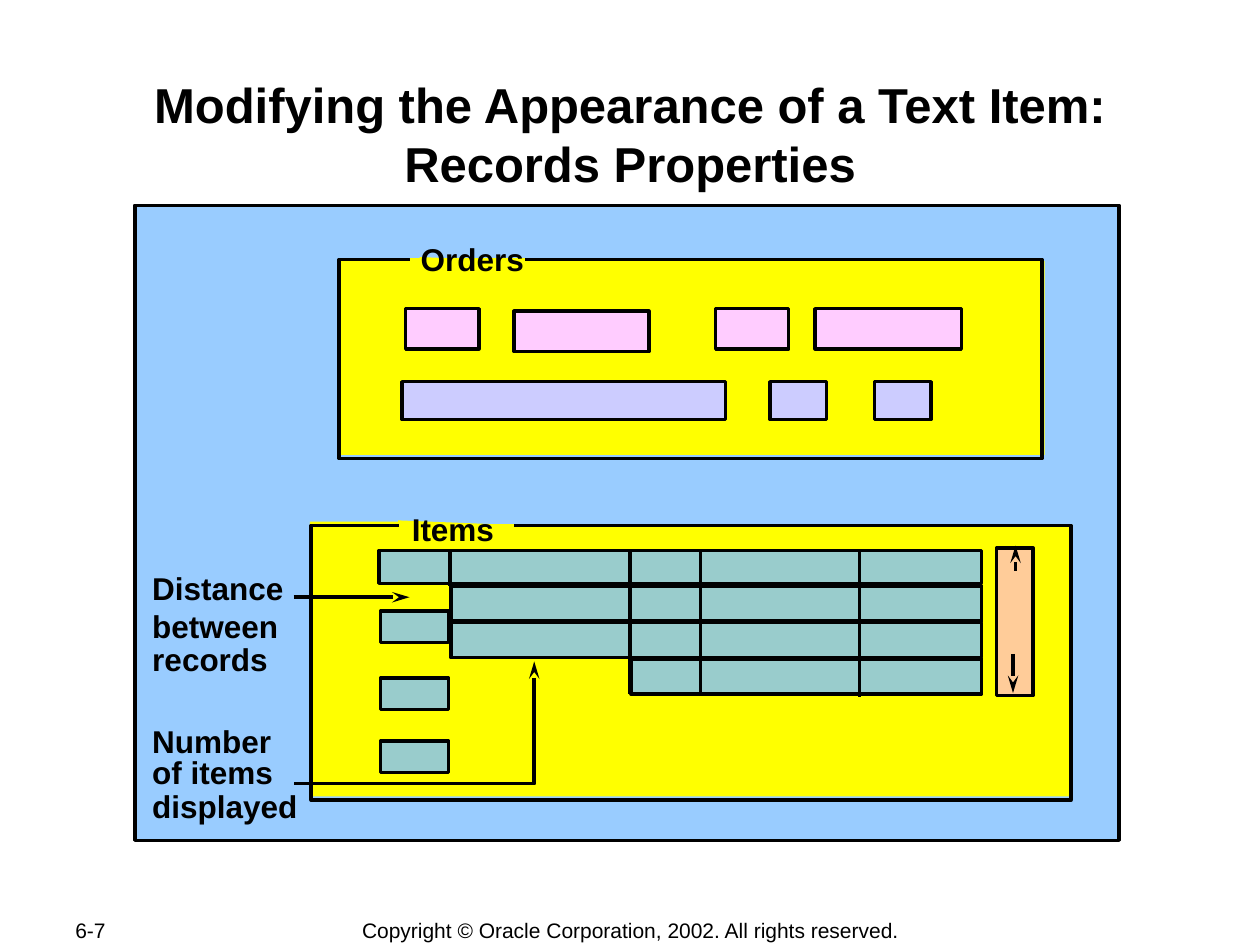
from dataclasses import dataclass

from lxml.etree import SubElement
from pptx import Presentation
from pptx.dml.color import RGBColor
from pptx.enum.shapes import MSO_CONNECTOR, MSO_SHAPE
from pptx.enum.text import MSO_ANCHOR, MSO_AUTO_SIZE, PP_ALIGN
from pptx.oxml.ns import qn
from pptx.util import Inches, Pt


@dataclass(frozen=True)
class Theme:
    font: str = "Arial"
    black: str = "000000"
    canvas: str = "99CCFF"
    frame: str = "FFFF00"
    pink: str = "FFCCFF"
    lavender: str = "CCCCFF"
    teal: str = "99CCCC"
    scrollbar: str = "FFCC99"
    title: int = 28
    label: int = 18
    footer: int = 12
    line: int = 2


THEME = Theme()


def rgb(value):
    return RGBColor.from_string(value)


def set_line(s, color=THEME.black):
    s.line.color.rgb = rgb(color)
    s.line.width = Pt(THEME.line)


def style_font(p, size, bold):
    p.font.name = THEME.font
    p.font.size = Pt(size)
    p.font.bold = bold
    p.font.color.rgb = rgb(THEME.black)


def add_arrowhead(s, end):
    ln = s._element.spPr.find(qn("a:ln"))
    SubElement(ln, qn(f"a:{end}End"), type="stealth", w="med", len="lg")


def add_box(slide, x, y, w, h, fill=None):
    s = slide.shapes.add_shape(MSO_SHAPE.RECTANGLE, Inches(x), Inches(y), Inches(w), Inches(h))
    s.shadow.inherit = False
    if fill:
        s.fill.solid()
        s.fill.fore_color.rgb = rgb(fill)
    else:
        s.fill.background()
    set_line(s)


def add_line(slide, x1, y1, x2, y2, color=THEME.black, arrow=None):
    s = slide.shapes.add_connector(
        MSO_CONNECTOR.STRAIGHT, Inches(x1), Inches(y1), Inches(x2), Inches(y2))
    set_line(s, color)
    if arrow:
        add_arrowhead(s, arrow)
    SubElement(s._element.spPr, qn("a:effectLst"))


def add_outline(slide, points, close):
    start, *rest = [(Inches(x), Inches(y)) for x, y in points]
    builder = slide.shapes.build_freeform(*start)
    builder.add_line_segments(rest, close=close)
    s = builder.convert_to_shape()
    s.shadow.inherit = False
    return s


def add_backdrop(slide, points):
    s = add_outline(slide, points, close=True)
    s.fill.solid()
    s.fill.fore_color.rgb = rgb(THEME.frame)
    s.line.fill.background()


def add_elbow_arrow(slide, points):
    s = add_outline(slide, points, close=False)
    s.fill.background()
    set_line(s)
    add_arrowhead(s, "head")


def add_text(slide, text, x, y, w, h=0.4, size=THEME.label, bold=True,
             align=PP_ALIGN.LEFT, anchor=MSO_ANCHOR.TOP):
    tf = slide.shapes.add_textbox(Inches(x), Inches(y), Inches(w), Inches(h)).text_frame
    tf.word_wrap = False
    tf.auto_size = MSO_AUTO_SIZE.NONE
    tf.vertical_anchor = anchor
    p = tf.paragraphs[0]
    p.text = text
    p.alignment = align
    style_font(p, size, bold)


def add_title(slide, text):
    s = slide.shapes.title
    s.left, s.top, s.width, s.height = Inches(1), Inches(0.58), Inches(8), Inches(0.96)
    tf = s.text_frame
    tf.margin_left = tf.margin_right = tf.margin_top = tf.margin_bottom = Inches(0.01)
    tf.vertical_anchor = MSO_ANCHOR.TOP
    tf.auto_size = MSO_AUTO_SIZE.NONE
    p = tf.paragraphs[0]
    p.text = text
    p.alignment = PP_ALIGN.CENTER
    style_font(p, THEME.title, True)


def add_footer(slide):
    add_text(slide, "6-7", 0.5, 7.28, 1.06, 0.2, THEME.footer, False,
             PP_ALIGN.JUSTIFY, MSO_ANCHOR.MIDDLE)
    add_text(slide, "Copyright © Oracle Corporation, 2002. All rights reserved.",
             2.76, 7.28, 4.49, 0.21, THEME.footer, False, PP_ALIGN.CENTER, MSO_ANCHOR.MIDDLE)


def add_frame(slide, name, x, y, w, h, gap, label):
    add_box(slide, x, y, w, h)
    add_line(slide, gap[0], y, gap[1], y, THEME.frame)
    add_text(slide, name, *label)


def add_order_fields(slide):
    for x, y, w in [(3.22, 2.45, 0.58), (4.08, 2.47, 1.07), (5.68, 2.45, 0.58), (6.47, 2.45, 1.16)]:
        add_box(slide, x, y, w, 0.32, THEME.pink)
    for x, w in [(3.19, 2.57), (6.11, 0.45), (6.94, 0.45)]:
        add_box(slide, x, 3.03, w, 0.3, THEME.lavender)


def add_item_records(slide):
    right = 7.79
    add_box(slide, 3.01, 4.37, right - 3.01, 0.26, THEME.teal)
    for y in (4.85, 5.38, 5.88):
        add_box(slide, 3.02, y, 0.54, 0.25, THEME.teal)
    for row, x in enumerate((3.58, 3.58, 5.01)):
        add_box(slide, x, 4.65 + 0.29 * row, right - x, 0.28, THEME.teal)
    for x, bottom in [(3.57, 4.65), (5, 5.51), (5.56, 5.51), (6.82, 5.53)]:
        add_line(slide, x, 4.38, x, bottom)


def add_callouts(slide):
    labels = [("Distance", 4.47, 1.24), ("between", 4.77, 1.2), ("records", 5.03, 1.12),
              ("Number", 5.68, 1.15), ("of items", 5.93, 1.16), ("displayed", 6.2, 1.36)]
    for text, y, w in labels:
        add_text(slide, text, 1.11, y, w)
    add_line(slide, 2.33, 4.74, 3.25, 4.74, arrow="tail")
    add_elbow_arrow(slide, [(4.24, 5.25), (4.24, 6.22), (2.33, 6.22)])


def add_scrollbar(slide):
    add_box(slide, 7.91, 4.35, 0.29, 1.17, THEME.scrollbar)
    add_line(slide, 8.04, 5.19, 8.04, 5.5, arrow="tail")
    add_line(slide, 8.06, 4.33, 8.06, 4.53, arrow="head")


def main():
    prs = Presentation()
    prs.slide_width, prs.slide_height = Inches(10), Inches(7.5)
    slide = prs.slides.add_slide(prs.slide_layouts[5])
    add_footer(slide)
    add_title(slide, "Modifying the Appearance of a Text Item: Records Properties")
    add_box(slide, 1.07, 1.63, 7.81, 5.04, THEME.canvas)
    add_backdrop(slide, [(3.91, 4.16), (8.51, 4.16), (8.51, 6.32), (2.46, 6.32),
                         (2.46, 4.14), (3.16, 4.14), (3.16, 4.13)])
    add_backdrop(slide, [(4.03, 2.07), (8.29, 2.07), (8.29, 3.61), (2.68, 3.61),
                         (2.68, 2.06), (3.33, 2.06), (3.33, 2.04)])
    add_order_fields(slide)
    add_item_records(slide)
    add_callouts(slide)
    add_scrollbar(slide)
    add_frame(slide, "Orders", 2.69, 2.06, 5.58, 1.58, (3.25, 4.17), (3.24, 1.86, 2.09))
    add_frame(slide, "Items", 2.47, 4.17, 6.03, 2.18, (3.17, 4.08), (3.17, 4, 1.44))
    prs.save("out.pptx")


if __name__ == "__main__":
    main()
